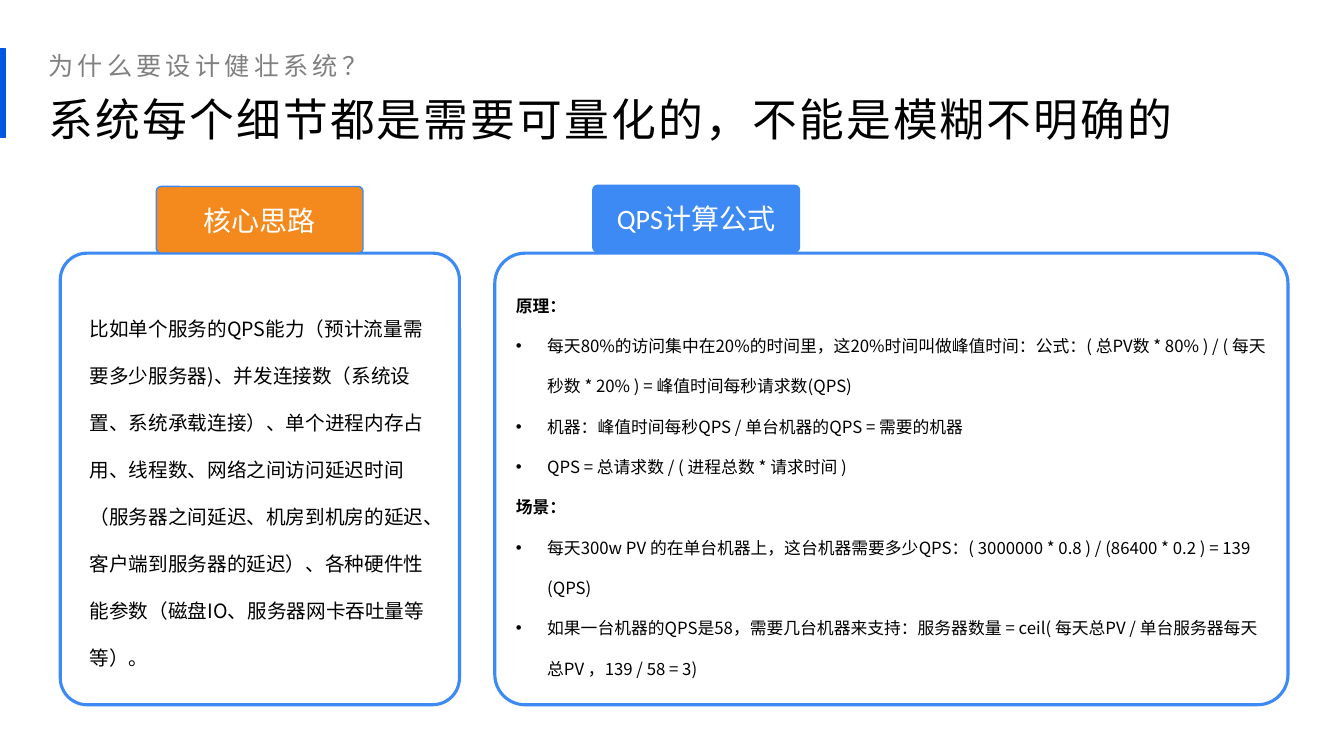
from dataclasses import dataclass

from lxml.etree import SubElement
from pptx import Presentation
from pptx.dml.color import RGBColor as RGB
from pptx.enum.shapes import MSO_SHAPE as Shape
from pptx.enum.text import MSO_ANCHOR as Anchor, MSO_AUTO_SIZE as Fit, PP_ALIGN as Align
from pptx.oxml.ns import qn
from pptx.util import Cm, Pt


@dataclass(frozen=True)
class Theme:
    accent: RGB = RGB(0x00, 0x57, 0xE1)
    blue: RGB = RGB(0x3E, 0x8A, 0xF4)
    orange: RGB = RGB(0xF4, 0x89, 0x1E)
    white: RGB = RGB(0xFF, 0xFF, 0xFF)
    black: RGB = RGB(0, 0, 0)
    gray: RGB = RGB(0x80, 0x80, 0x80)
    sans: str = "Noto Sans CJK SC"
    latin: str = "Calibri"
    title: int = 32
    badge: int = 20
    lead: int = 18
    body: int = 14
    list: int = 12


THEME = Theme()
PANEL_TOP, PANEL_HIGH = 6.38, 11.38

IDEA = (
    "比如单个服务的QPS能力（预计流量需要多少服务器)、并发连接数（系统设置、系统承载连接）、"
    "单个进程内存占用、线程数、网络之间访问延迟时间（服务器之间延迟、机房到机房的延迟、"
    "客户端到服务器的延迟）、各种硬件性能参数（磁盘IO、服务器网卡吞吐量等等）。"
)
RULES = {
    "原理：": [
        "每天80%的访问集中在20%的时间里，这20%时间叫做峰值时间：公式：( 总PV数 * 80% ) / "
        "( 每天秒数 * 20% ) = 峰值时间每秒请求数(QPS)",
        "机器：峰值时间每秒QPS / 单台机器的QPS = 需要的机器",
        "QPS = 总请求数 / ( 进程总数 * 请求时间 )",
    ],
    "场景：": [
        "每天300w PV 的在单台机器上，这台机器需要多少QPS：( 3000000 * 0.8 ) / "
        "(86400 * 0.2 ) = 139 (QPS)",
        "如果一台机器的QPS是58，需要几台机器来支持：服务器数量 = ceil( 每天总PV / "
        "单台服务器每天总PV ，139 / 58 = 3)",
    ],
}


def add_run(para, text, size, color, face=THEME.sans, bold=False, gap=0):
    """Add a run; gap is the letter spacing in points."""
    run = para.add_run()
    run.text = text
    font = run.font
    font.name, font.size, font.bold = face, Pt(size), bold
    font.color.rgb = color
    props = run._r.get_or_add_rPr()
    SubElement(props, qn("a:ea")).set("typeface", THEME.sans)
    if gap:
        props.set("spc", str(int(gap * 100)))


def add_bullet(para):
    props = para._p.get_or_add_pPr()
    props.set("marL", str(Cm(0.79)))
    props.set("indent", str(-Cm(0.79)))
    SubElement(props, qn("a:buFont")).set("typeface", "Arial")
    SubElement(props, qn("a:buChar")).set("char", "•")


def add_block(slide, kind, box, fill, line, width, bend=None):
    block = slide.shapes.add_shape(kind, *map(Cm, box))
    block.shadow.inherit = False
    block.fill.solid()
    block.fill.fore_color.rgb = fill
    block.line.color.rgb = line
    block.line.width = Pt(width)
    if bend is not None:
        block.adjustments[0] = bend
    return block


def add_panel(slide, left, width):
    box = left, PANEL_TOP, width, PANEL_HIGH
    add_block(slide, Shape.ROUNDED_RECTANGLE, box, THEME.white, THEME.blue, 2.25, 0.067)


def add_badge(slide, left, top, fill, parts):
    box = left, top, 5.21, 1.68
    badge = add_block(slide, Shape.ROUNDED_RECTANGLE, box, fill, THEME.blue, 1, 0.073)
    frame = badge.text_frame
    frame.vertical_anchor = Anchor.MIDDLE
    para = frame.paragraphs[0]
    para.alignment = Align.CENTER
    for part in parts:
        add_run(para, part, THEME.badge, THEME.white, THEME.latin)


def add_text(slide, box):
    shape = slide.shapes.add_textbox(*map(Cm, box))
    shape.text_frame.word_wrap = True
    return shape.text_frame


def set_head(frame, text, size, color, gap):
    para = frame.paragraphs[0]
    para.alignment = Align.LEFT
    para.line_spacing = 1.2
    add_run(para, text, size, color, gap=gap)


def set_title(slide, text):
    title = slide.shapes.title
    title.left, title.top, title.width, title.height = map(Cm, (0.97, 2.03, 31.32, 1.68))
    frame = title.text_frame
    frame.auto_size = Fit.NONE
    frame.vertical_anchor = Anchor.TOP
    frame.margin_top = 0
    set_head(frame, text, THEME.title, THEME.black, 1.5)


def add_lead(slide, text):
    frame = add_text(slide, (0.97, 0.81, 26.62, 1.22))
    frame.vertical_anchor = Anchor.BOTTOM
    frame.margin_bottom = 0
    set_head(frame, text, THEME.lead, THEME.gray, 3)


def add_body(slide, box, rows, size):
    """Write rows of (text, bold, bullet) at double line spacing."""
    frame = add_text(slide, box)
    frame.auto_size = Fit.SHAPE_TO_FIT_TEXT
    for spot, (text, bold, bullet) in enumerate(rows):
        para = frame.add_paragraph() if spot else frame.paragraphs[0]
        if bullet:
            add_bullet(para)
        para.line_spacing = 2.0
        add_run(para, text, size, THEME.black, bold=bold)


def main():
    deck = Presentation()
    deck.slide_width, deck.slide_height = Cm(33.87), Cm(19.05)
    slide = deck.slides.add_slide(deck.slide_layouts[5])

    add_block(slide, Shape.RECTANGLE, (0, 1.22, 0.13, 2.24), THEME.accent, THEME.accent, 1)
    set_title(slide, "系统每个细节都是需要可量化的，不能是模糊不明确的")
    add_lead(slide, "为什么要设计健壮系统？")

    add_panel(slide, 12.47, 19.99)
    add_panel(slide, 1.52, 10.06)
    add_badge(slide, 3.94, 4.7, THEME.orange, ["核心思路"])
    add_badge(slide, 14.94, 4.67, THEME.blue, ["QPS计算公式"])

    add_body(slide, (2.01, 7.26, 9.04, 8.64), [(IDEA, False, False)], THEME.body)
    rows = []
    for head, items in RULES.items():
        rows.append((head, True, False))
        rows += [(item, False, True) for item in items]
    add_body(slide, (12.75, 6.81, 19.53, 10.52), rows, THEME.list)

    deck.save("out.pptx")


if __name__ == "__main__":
    main()
